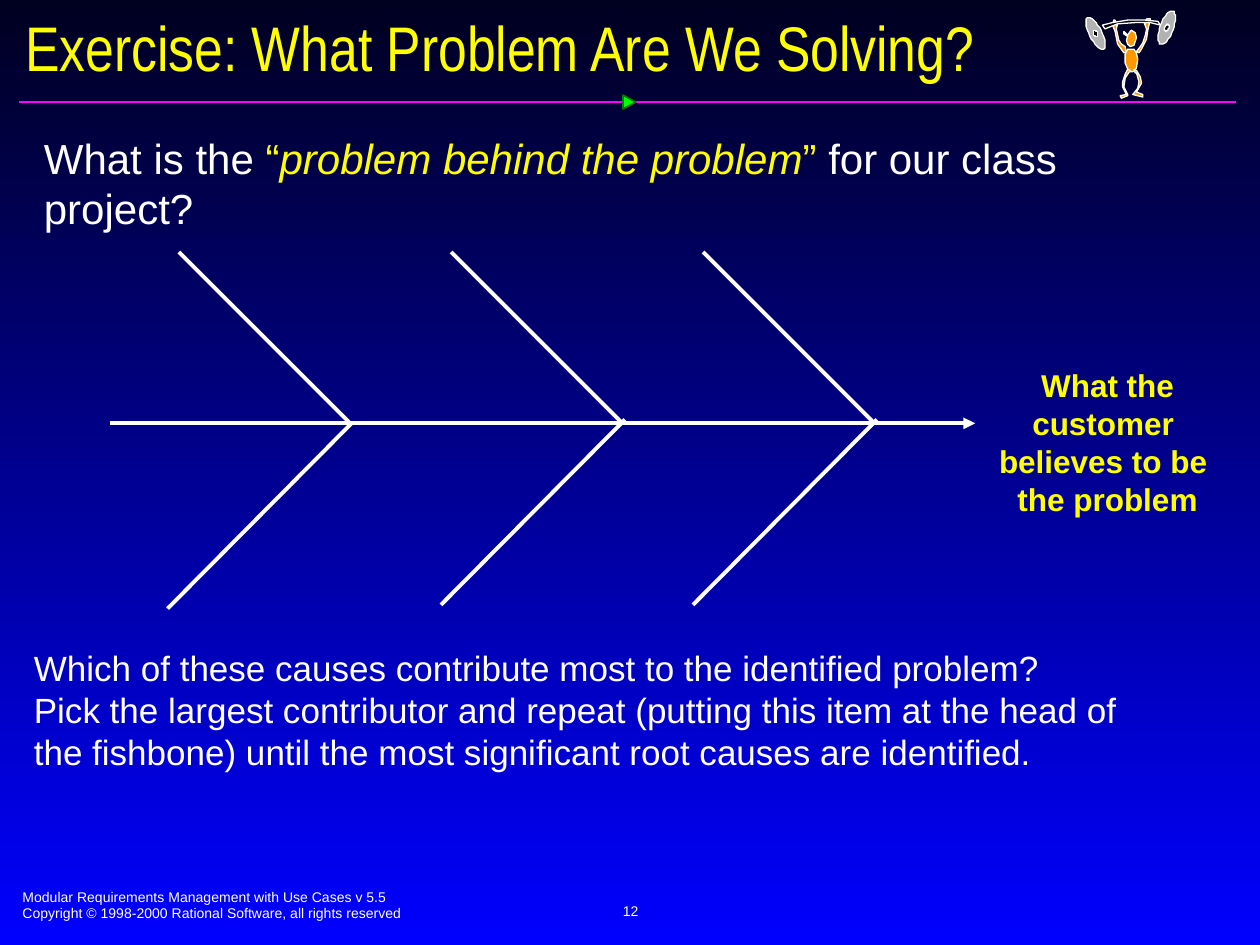
from math import cos, pi, radians, sin

from lxml.etree import SubElement
from pptx import Presentation
from pptx.dml.color import RGBColor
from pptx.enum.shapes import MSO_CONNECTOR as CONN, MSO_SHAPE as SHAPE
from pptx.enum.text import MSO_ANCHOR as ANCHOR, MSO_AUTO_SIZE as FIT, PP_ALIGN as ALIGN
from pptx.oxml.ns import qn
from pptx.util import Inches, Pt

WHITE, YELLOW, ORANGE, GREY, BLACK = "FFFFFF", "FFFF00", "FF9900", "B2B2B2", "000000"

BODY_PARTS = {
    "head": [(898, 24), (901, 26), (902, 30), (900, 36), (897, 37), (895, 35), (894, 32),
             (895, 29), (892, 27), (892, 25), (895, 28), (897, 25)],
    "right arm": [(905, 37), (902, 41), (904, 42), (906, 39), (910, 31), (911, 24), (913, 15),
                  (910, 15), (910, 18), (908, 18), (910, 23), (909, 28), (907, 34)],
    "left arm": [(893, 37), (894, 42), (892, 42), (887, 35), (885, 25), (883, 20), (884, 16),
                 (885, 16), (886, 20), (887, 19), (886, 23), (888, 32), (890, 35)],
    "torso": [(897, 39), (900, 39), (902, 42), (903, 47), (902, 54), (899, 57), (896, 57),
              (893, 50), (893, 43), (895, 39)],
    "right leg": [(901, 58), (900, 55), (902, 56), (905, 61), (906, 66), (902, 73), (907, 75),
                  (907, 77), (899, 75), (903, 70), (904, 65), (902, 58)],
    "left leg": [(893, 59), (895, 55), (897, 56), (893, 62), (892, 69), (895, 75), (895, 76),
                 (890, 78), (889, 76), (894, 75), (891, 69), (891, 65)],
}
BAR = [(875, 20), (883, 18), (895, 16), (909, 16), (919, 17), (921, 20), (913, 18), (901, 18),
       (887, 19), (877, 23)]


def rgb(value):
    return RGBColor.from_string(value)


def tilted_oval(cx, cy, long, short, tilt, steps=32):
    """Return the points of an oval whose long axis leans by tilt degrees."""
    a = radians(tilt)
    turns = [2 * pi * i / steps for i in range(steps)]
    return [(cx + short * cos(t) * cos(a) - long * sin(t) * sin(a),
             cy + short * cos(t) * sin(a) + long * sin(t) * cos(a)) for t in turns]


class Deck:
    """Holds the text style and the current slide."""

    def __init__(self):
        self.prs = Presentation()
        self.prs.slide_width, self.prs.slide_height = Inches(10), Inches(7.5)
        self.s = self.prs.slides.add_slide(self.prs.slide_layouts[5])
        self.font = {"name": "Arial", "size": Pt(20), "bold": False, "italic": False}

    def background(self, top, bottom):
        fill = self.s.background.fill
        fill.gradient()
        fill.gradient_angle = 270
        for stop, color in zip(fill.gradient_stops, (top, bottom)):
            stop.color.rgb = rgb(color)

    def run(self, p, text, color=WHITE, **style):
        for i, line in enumerate(text.split("\n")):
            if i:
                p.add_line_break()
            r = p.add_run()
            r.text = line
            for key, value in {**self.font, **style}.items():
                setattr(r.font, key, value)
            r.font.color.rgb = rgb(color)

    def title(self, box, text, **style):
        sp = self.s.shapes.title
        sp.left, sp.top, sp.width, sp.height = map(Inches, box)
        tf = sp.text_frame
        for key, value in {"vertical_anchor": ANCHOR.BOTTOM, "auto_size": FIT.NONE,
                           "word_wrap": True}.items():
            setattr(tf, key, value)
        tf.paragraphs[0].alignment = ALIGN.LEFT
        self.run(tf.paragraphs[0], text, **style)

    def text(self, box, paragraphs, align=ALIGN.LEFT, **frame):
        tf = self.s.shapes.add_textbox(*map(Inches, box)).text_frame
        for key, value in {"word_wrap": True, "auto_size": FIT.SHAPE_TO_FIT_TEXT,
                           **frame}.items():
            setattr(tf, key, value)
        for i, runs in enumerate(paragraphs):
            p = tf.add_paragraph() if i else tf.paragraphs[0]
            p.alignment = align
            for text, style in runs:
                self.run(p, text, **style)

    def line(self, start, end, color=WHITE, width=2.25, arrow=False):
        c = self.s.shapes.add_connector(CONN.STRAIGHT, *map(Inches, (*start, *end)))
        c.line.color.rgb = rgb(color)
        c.line.width = Pt(width)
        if arrow:
            SubElement(c.line._get_or_add_ln(), qn("a:tailEnd"), type="triangle")
        SubElement(c._element.spPr, qn("a:effectLst"))

    def paint(self, sp, fill, line, width):
        sp.shadow.inherit = False
        sp.fill.solid()
        sp.fill.fore_color.rgb = rgb(fill)
        sp.line.color.rgb = rgb(line)
        sp.line.width = Pt(width)

    def triangle(self, box, fill, line, rotation):
        sp = self.s.shapes.add_shape(SHAPE.ISOSCELES_TRIANGLE, *map(Inches, box))
        sp.rotation = rotation
        self.paint(sp, fill, line, 1)

    def outline(self, points, fill):
        builder = self.s.shapes.build_freeform(*points[0], scale=Inches(0.01))
        builder.add_line_segments(points[1:], close=True)
        self.paint(builder.convert_to_shape(), fill, WHITE, 0.75)


def main():
    deck = Deck()
    deck.background("000021", "0000FF")
    small = {"size": Pt(8)}
    deck.text((0.08, 7, 5.1, 0.37), [
        [("Modular Requirements Management with Use Cases v 5.5", small)],
        [("Copyright © 1998-2000 Rational Software, all rights reserved", small)]])
    deck.text((3.42, 6.98, 3.17, 0.5), [[("12", small)]], ALIGN.CENTER,
              vertical_anchor=ANCHOR.MIDDLE, word_wrap=False, auto_size=FIT.NONE)
    deck.line((0.15, 0.81), (9.81, 0.81), "FF01FF", 1)
    deck.triangle((4.94, 0.76, 0.11, 0.1), "00FF00", "037C03", 90)
    deck.title((0.1, 0.14, 9.84, 0.58), "Exercise: What Problem Are We Solving?",
               color=YELLOW, name="Arial Narrow", size=Pt(36))

    plain = {"size": Pt(24)}
    quote = {**plain, "color": YELLOW}
    deck.text((0.25, 1, 9.25, 0.9), [[
        ("What is the ", plain), ("“", quote),
        ("problem behind the problem", {**quote, "italic": True}),
        ("”", quote), (" for our class project?", plain)]])
    deck.text((0.17, 5.08, 9.08, 1.1), [[(
        "Which of these causes contribute most to the identified problem?\n"
        "Pick the largest contributor and repeat (putting this item at the head of the "
        "fishbone) until the most significant root causes are identified.", {})]])

    deck.line((0.87, 3.36), (7.74, 3.36), arrow=True)
    for x in (1.42, 3.58, 5.58):
        deck.line((x, 2), (x + 1.35, 3.35))
    for x, y in ((1.33, 4.83), (3.5, 4.8), (5.5, 4.8)):
        deck.line((x, y), (x + 1.46, y - 1.47))
    deck.text((7.58, 2.86, 2.42, 1.3), [[(
        "What the customer \nbelieves to be \nthe problem",
        {"size": Pt(18), "bold": True, "color": YELLOW})]], ALIGN.CENTER)

    for points in BODY_PARTS.values():
        deck.outline(points, ORANGE)
    deck.outline(BAR, BLACK)
    for cx, cy, tilt in ((926, 22, 20), (869.5, 26.5, -27)):
        deck.outline(tilted_oval(cx, cy, 14, 5, tilt), GREY)
        deck.outline(tilted_oval(cx, cy, 3, 1.5, tilt), BLACK)
    deck.prs.save("out.pptx")


if __name__ == "__main__":
    main()
